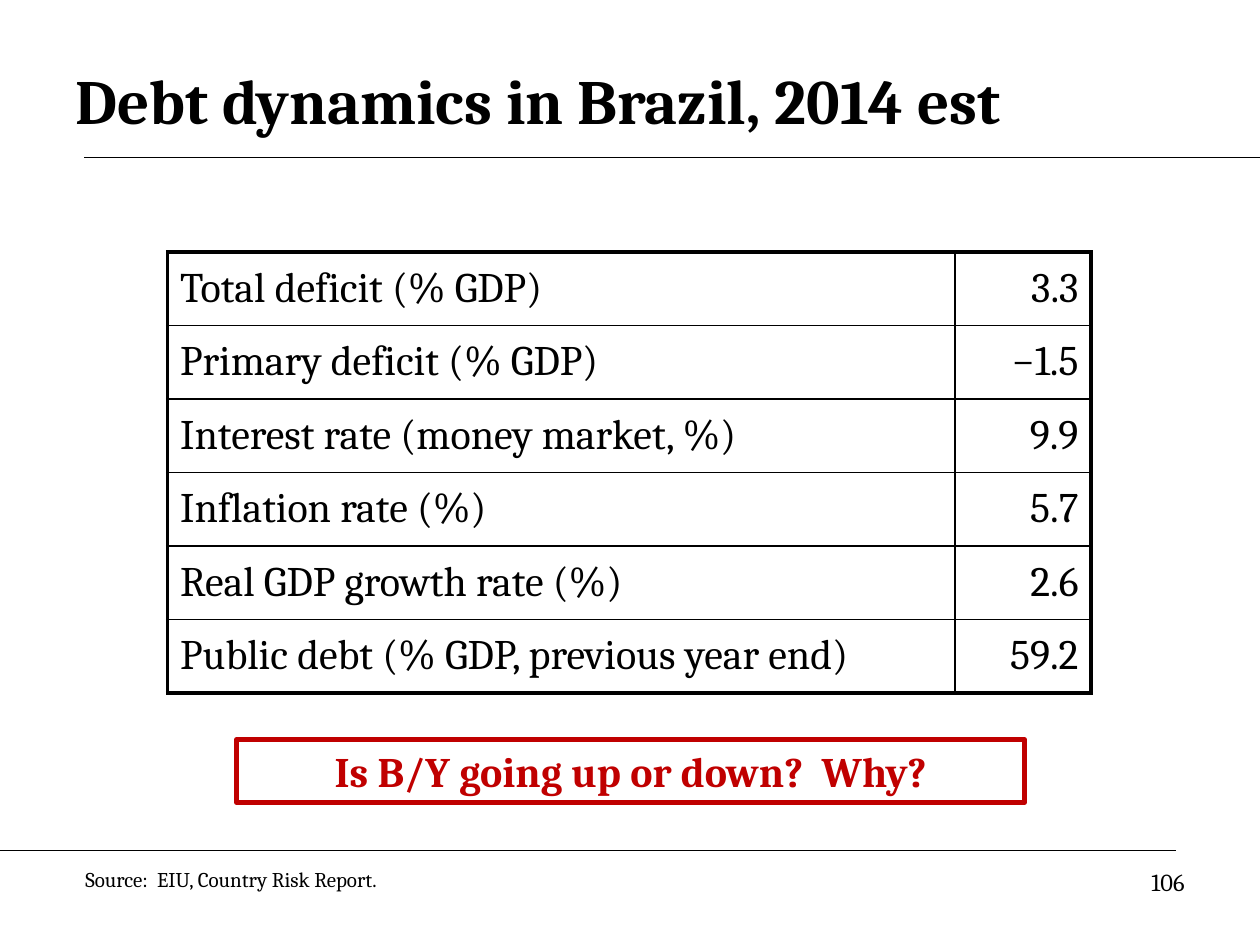
from dataclasses import dataclass
from typing import NamedTuple

from lxml.etree import SubElement
from pptx import Presentation
from pptx.dml.color import RGBColor
from pptx.enum.shapes import MSO_CONNECTOR, MSO_SHAPE
from pptx.enum.text import MSO_ANCHOR as Anchor, PP_ALIGN as Align
from pptx.oxml import parse_xml
from pptx.oxml.ns import nsdecls, qn
from pptx.util import Inches, Pt


@dataclass(frozen=True)
class Theme:
    font: str = "Cambria"
    ink: str = "000000"
    accent: str = "C00000"
    title: int = 36
    body: int = 24
    page: int = 14
    source: int = 12
    rule: float = 0.75
    grid: float = 1
    frame: float = 2.25
    callout: float = 3


class Box(NamedTuple):
    left: float
    top: float
    width: float
    height: float

    def inches(self) -> tuple:
        return tuple(Inches(length) for length in self)


class Rule(NamedTuple):
    start: float
    end: float
    y: float


class Indicator(NamedTuple):
    label: str
    value: str


THEME = Theme()
RULES = [Rule(0.67, 10, 1.25), Rule(0, 9.33, 6.75)]
INDICATORS = [
    Indicator("Total deficit (% GDP)", "3.3"),
    Indicator("Primary deficit (% GDP)", "−1.5"),
    Indicator("Interest rate (money market, %)", "9.9"),
    Indicator("Inflation rate (%)", "5.7"),
    Indicator("Real GDP growth rate (%)", "2.6"),
    Indicator("Public debt (% GDP, previous year end)", "59.2"),
]
COLUMN_WIDTHS = (6.25, 1.08)


def write(frame, text: str, *, size: int, color: str = THEME.ink, bold: bool = False,
          align=Align.LEFT, anchor=Anchor.TOP) -> None:
    frame.word_wrap = True
    frame.vertical_anchor = anchor
    paragraph = frame.paragraphs[0]
    paragraph.alignment = align
    run = paragraph.add_run()
    run.text = text
    run.font.name = THEME.font
    run.font.size = Pt(size)
    run.font.bold = bold
    run.font.color.rgb = RGBColor.from_string(color)


def add_text(slide, box: Box, text: str, **text_format) -> None:
    write(slide.shapes.add_textbox(*box.inches()).text_frame, text, **text_format)


def add_rule(slide, rule: Rule) -> None:
    line = slide.shapes.add_connector(
        MSO_CONNECTOR.STRAIGHT, Inches(rule.start), Inches(rule.y),
        Inches(rule.end), Inches(rule.y))
    line.line.color.rgb = RGBColor.from_string(THEME.ink)
    line.line.width = Pt(THEME.rule)
    SubElement(line._element.spPr, qn("a:effectLst"))


def set_borders(cell, widths: dict[str, float]) -> None:
    """Draw cell edges; widths maps L, R, T, B, in that order, to points."""
    properties = cell._tc.get_or_add_tcPr()
    for position, (side, width) in enumerate(widths.items()):
        properties.insert(position, parse_xml(
            f'<a:ln{side} {nsdecls("a")} w="{Pt(width)}"><a:solidFill>'
            f'<a:srgbClr val="{THEME.ink}"/></a:solidFill></a:ln{side}>'))


def add_indicator_table(slide, box: Box) -> None:
    last_row, last_column = len(INDICATORS) - 1, len(COLUMN_WIDTHS) - 1
    table = slide.shapes.add_table(
        last_row + 1, last_column + 1, *box.inches()).table
    table.first_row = table.horz_banding = False
    for column, width in zip(table.columns, COLUMN_WIDTHS):
        column.width = Inches(width)
    for row, indicator in enumerate(INDICATORS):
        for column, text in enumerate(indicator):
            cell = table.cell(row, column)
            cell.fill.background()
            cell.vertical_anchor = Anchor.MIDDLE
            write(cell.text_frame, text, size=THEME.body, anchor=None,
                  align=Align.RIGHT if column else Align.LEFT)
            outer = {"L": column == 0, "R": column == last_column,
                     "T": row == 0, "B": row == last_row}
            set_borders(cell, {side: THEME.frame if is_outer else THEME.grid
                               for side, is_outer in outer.items()})


def add_callout(slide, box: Box, text: str) -> None:
    callout = slide.shapes.add_shape(MSO_SHAPE.RECTANGLE, *box.inches())
    callout.shadow.inherit = False
    callout.fill.background()
    callout.line.color.rgb = RGBColor.from_string(THEME.accent)
    callout.line.width = Pt(THEME.callout)
    write(callout.text_frame, text, size=THEME.body, color=THEME.accent,
          bold=True, align=Align.CENTER)


def main() -> None:
    deck = Presentation()
    deck.slide_width, deck.slide_height = Inches(10), Inches(7.5)
    slide = deck.slides.add_slide(deck.slide_layouts[6])
    for rule in RULES:
        add_rule(slide, rule)
    add_text(slide, Box(0.5, 0.33, 9, 0.92), "Debt dynamics in Brazil, 2014 est",
             size=THEME.title, bold=True, anchor=Anchor.MIDDLE)
    add_indicator_table(slide, Box(1.33, 2, sum(COLUMN_WIDTHS), 3.5))
    add_callout(slide, Box(1.88, 5.87, 6.25, 0.5), "Is B/Y going up or down?  Why?")
    add_text(slide, Box(7.17, 6.83, 2.33, 0.52), "106",
             size=THEME.page, align=Align.RIGHT)
    add_text(slide, Box(0.58, 6.83, 3.33, 0.3), "Source:  EIU, Country Risk Report.",
             size=THEME.source)
    deck.save("out.pptx")


if __name__ == "__main__":
    main()
